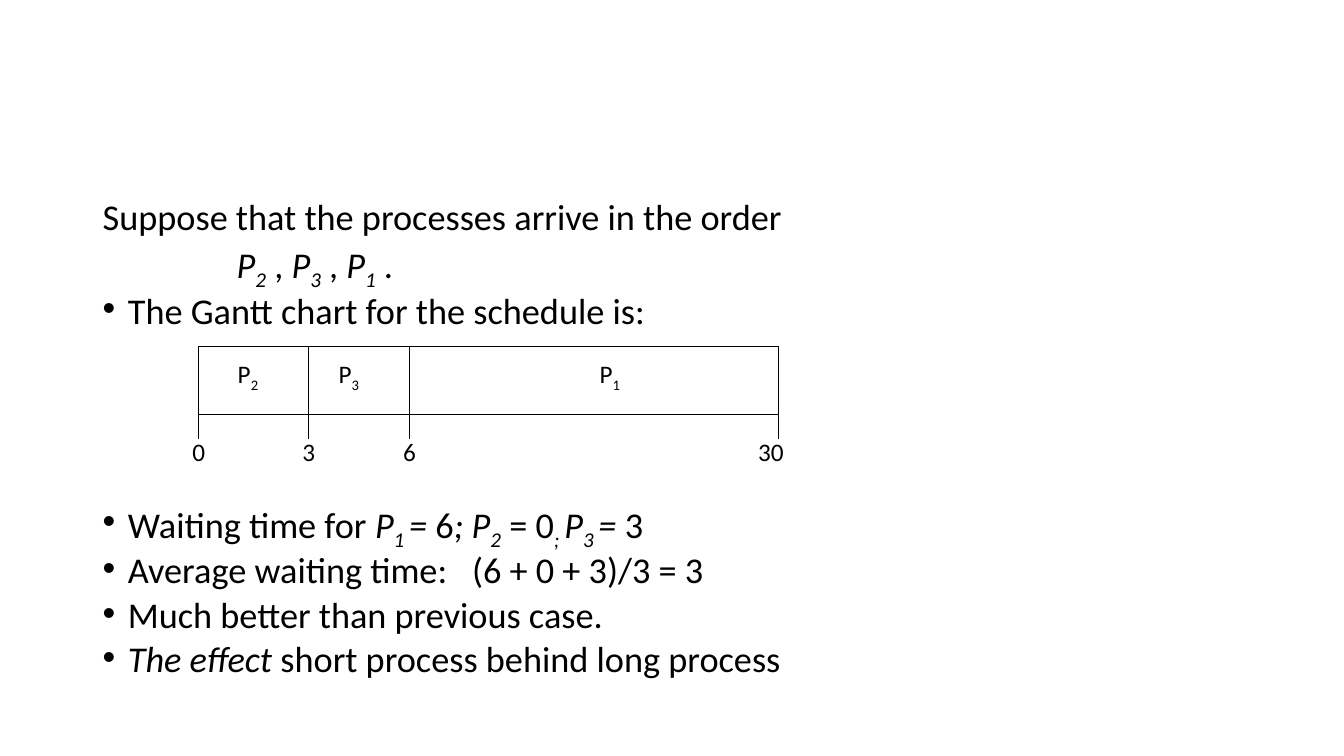
from dataclasses import dataclass

from lxml.etree import SubElement
from pptx import Presentation
from pptx.dml.color import RGBColor
from pptx.enum.shapes import MSO_CONNECTOR, MSO_SHAPE
from pptx.enum.text import MSO_ANCHOR
from pptx.oxml.ns import qn
from pptx.slide import Slide
from pptx.text.text import TextFrame
from pptx.util import Inches, Pt

BLACK = RGBColor(0x00, 0x00, 0x00)
WHITE = RGBColor(0xFF, 0xFF, 0xFF)
FONT = "Calibri"
BODY_SIZE = 25.9
LABEL_SIZE = 18
LINE_WIDTH = Pt(0.75)
BAR_TOP, BAR_BOTTOM, TICK_BOTTOM = 3.44, 4.11, 4.36


@dataclass
class Run:
    text: str
    italic: bool = False
    subscript: bool = False
    spacing: float = 0


@dataclass
class Line:
    runs: list[Run]
    bullet: bool = False
    left: float = 0.25
    hanging: float = 0.25
    after: float = 0


@dataclass
class Process:
    number: str
    label_left: float


@dataclass
class Tick:
    time: str
    x: float
    label_left: float
    label_width: float = 0.34


def italic(text: str) -> Run:
    return Run(text, italic=True)


def subscript(text: str) -> Run:
    return Run(text, italic=True, subscript=True)


BODY = [
    Line([Run("Suppose that the processes arrive in the order")]),
    Line([italic("P"), subscript("2"), Run(" , "), italic("P"), subscript("3"),
          Run(" , "), italic("P"), subscript("1"), Run(" .")], left=1.33, hanging=0),
    Line([Run("The Gantt chart for the schedule is:")], bullet=True, after=119),
    Line([Run("Waiting time for "), italic("P"), subscript("1 "), italic("="),
          Run(" 6"), italic("; P"), subscript("2"), Run(" = 0"), subscript("; "),
          italic("P"), subscript("3 "), italic("= "), Run("3")], bullet=True),
    Line([Run("Average waiting time:"), Run(" ", spacing=11.7),
          Run("(6 + 0 + 3)/3 = 3")], bullet=True),
    Line([Run("Much better than previous case.")], bullet=True),
    Line([italic("The effect"), Run(" short process behind long process")], bullet=True),
]
PROCESSES = [Process("2", 2.26), Process("3", 3.26), Process("1", 5.85)]
TICKS = [
    Tick("0", 1.97, 1.81),
    Tick("3", 3.06, 2.9),
    Tick("6", 4.06, 3.9),
    Tick("30", 7.72, 7.42, 0.48),
]


def add_text_frame(slide: Slide, left: float, top: float, width: float, height: float,
                   *, wrap: bool, anchor: MSO_ANCHOR) -> TextFrame:
    box = slide.shapes.add_textbox(Inches(left), Inches(top), Inches(width), Inches(height))
    box.text_frame.word_wrap = wrap
    box.text_frame.vertical_anchor = anchor
    return box.text_frame


def add_run(paragraph, text: str, *, size: float, italic: bool = False,
            subscript: bool = False, spacing: float = 0) -> None:
    run = paragraph.add_run()
    run.text = text
    run.font.name = FONT
    run.font.size = Pt(size)
    run.font.italic = italic
    run.font.color.rgb = BLACK
    properties = run.font._element
    if subscript:
        properties.set("baseline", "-25000")
    if spacing:
        properties.set("spc", str(round(spacing * 100)))


def add_body(slide: Slide) -> None:
    frame = add_text_frame(slide, 0.92, 2, 11.5, 4.76, wrap=True, anchor=MSO_ANCHOR.TOP)
    for index, line in enumerate(BODY):
        paragraph = frame.add_paragraph() if index else frame.paragraphs[0]
        properties = paragraph._p.get_or_add_pPr()
        properties.set("marL", str(Inches(line.left)))
        properties.set("indent", str(-Inches(line.hanging)))
        if line.bullet:
            SubElement(properties, qn("a:buFont")).set("typeface", "Arial")
            SubElement(properties, qn("a:buChar")).set("char", "•")
        paragraph.line_spacing = 0.7
        if index:
            paragraph.space_before = Pt(10)
        if line.after:
            paragraph.space_after = Pt(line.after)
        for run in line.runs:
            add_run(paragraph, run.text, size=BODY_SIZE, italic=run.italic,
                    subscript=run.subscript, spacing=run.spacing)


def add_label(slide: Slide, left: float, top: float, width: float, runs: list[Run]) -> None:
    frame = add_text_frame(slide, left, top, width, 0.4, wrap=False, anchor=MSO_ANCHOR.MIDDLE)
    for run in runs:
        add_run(frame.paragraphs[0], run.text, size=LABEL_SIZE, subscript=run.subscript)


def add_vertical_line(slide: Slide, x: float, top: float, bottom: float) -> None:
    connector = slide.shapes.add_connector(
        MSO_CONNECTOR.STRAIGHT, Inches(x), Inches(top), Inches(x), Inches(bottom))
    connector.line.color.rgb = BLACK
    connector.line.width = LINE_WIDTH
    SubElement(connector._element.spPr, qn("a:effectLst"))


def add_gantt_chart(slide: Slide) -> None:
    start, end = TICKS[0].x, TICKS[-1].x
    bar = slide.shapes.add_shape(MSO_SHAPE.RECTANGLE, Inches(start), Inches(BAR_TOP),
                                 Inches(end - start), Inches(BAR_BOTTOM - BAR_TOP))
    bar.shadow.inherit = False
    bar.fill.solid()
    bar.fill.fore_color.rgb = WHITE
    bar.line.color.rgb = BLACK
    bar.line.width = LINE_WIDTH
    for process in PROCESSES:
        add_label(slide, process.label_left, 3.53, 0.46,
                  [Run("P"), Run(process.number, subscript=True)])
    for tick in TICKS[1:-1]:
        add_vertical_line(slide, tick.x, BAR_TOP, BAR_BOTTOM)
    for tick in TICKS:
        add_vertical_line(slide, tick.x, BAR_BOTTOM, TICK_BOTTOM)
        add_label(slide, tick.label_left, 4.28, tick.label_width, [Run(tick.time)])


def main() -> None:
    presentation = Presentation()
    presentation.slide_width = Inches(13.33)
    presentation.slide_height = Inches(7.5)
    slide = presentation.slides.add_slide(presentation.slide_layouts[6])
    add_body(slide)
    add_gantt_chart(slide)
    presentation.save("out.pptx")


if __name__ == "__main__":
    main()
